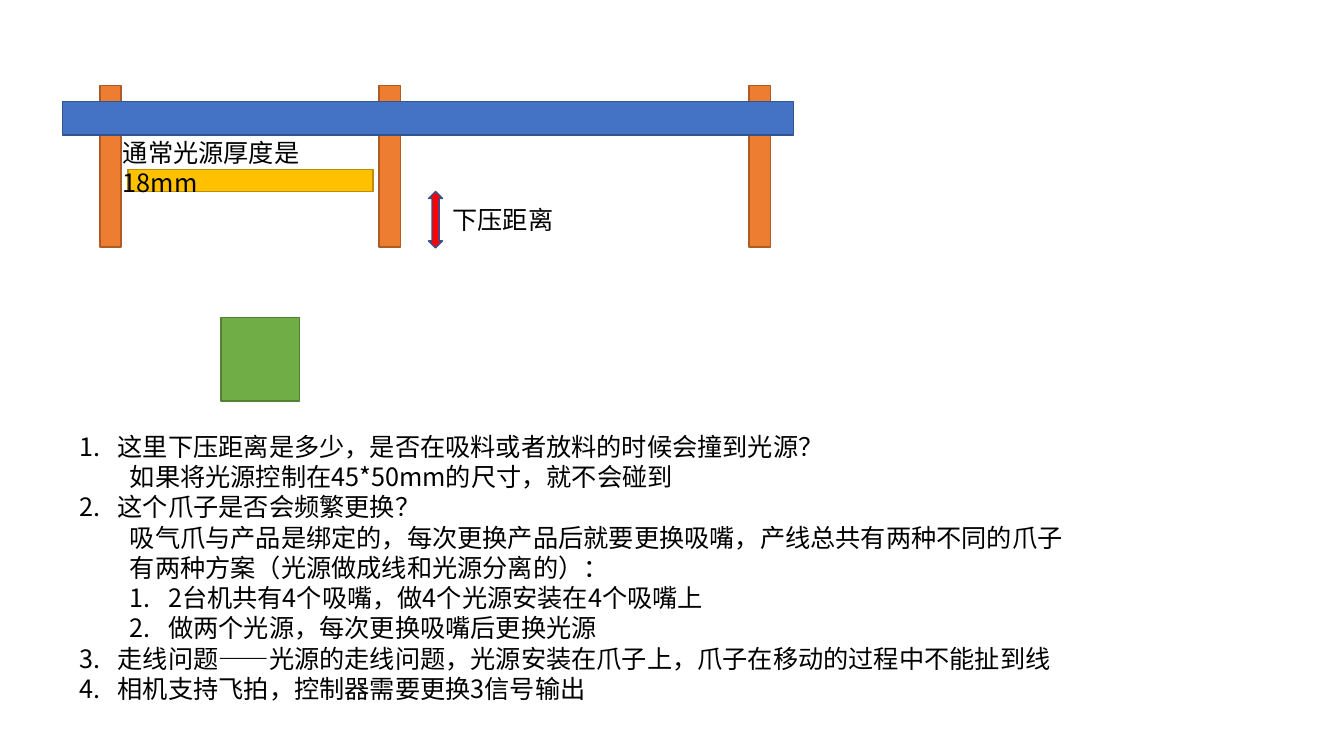
from dataclasses import dataclass

from lxml.etree import SubElement
from pptx import Presentation
from pptx.dml.color import RGBColor
from pptx.enum.shapes import MSO_SHAPE as Preset
from pptx.enum.text import MSO_AUTO_SIZE as AutoSize
from pptx.oxml.ns import qn
from pptx.util import Inches, Pt


@dataclass(frozen=True)
class Theme:
    font: str = "Noto Sans CJK SC"
    text_size: int = 18
    line_width: int = 1
    text: str = "000000"
    claw: tuple = ("ED7D31", "AF5C24")
    beam: tuple = ("4472C4", "325491")
    light: tuple = ("FFC000", "BD8E00")
    arrow: tuple = ("FF0000", "325491")
    product: tuple = ("70AD47", "538035")


class SlideBuilder:
    def __init__(self, slide, theme):
        self.slide = slide
        self.theme = theme

    def block(self, left, top, width, height, colors, preset=Preset.RECTANGLE):
        shape = self.slide.shapes.add_shape(
            preset, Inches(left), Inches(top), Inches(width), Inches(height))
        fill, line = colors
        shape.shadow.inherit = False
        shape.fill.solid()
        shape.fill.fore_color.rgb = RGBColor.from_string(fill)
        shape.line.color.rgb = RGBColor.from_string(line)
        shape.line.width = Pt(self.theme.line_width)

    def style(self, paragraph):
        for run in paragraph.runs:
            font = run.font
            font.size = Pt(self.theme.text_size)
            font.color.rgb = RGBColor.from_string(self.theme.text)
            font.name = self.theme.font
            east_asian = SubElement(font._element, qn("a:ea"))
            east_asian.set("typeface", self.theme.font)

    def text(self, left, top, width, height, content):
        box = self.slide.shapes.add_textbox(
            Inches(left), Inches(top), Inches(width), Inches(height))
        text_frame = box.text_frame
        text_frame.word_wrap = True
        text_frame.auto_size = AutoSize.SHAPE_TO_FIT_TEXT
        text_frame.text = content
        for paragraph in text_frame.paragraphs:
            self.style(paragraph)
        return text_frame

    def numbered_list(self, left, top, width, height, items):
        content = "\n".join(item for _, _, item in items)
        text_frame = self.text(left, top, width, height, content)
        hanging = 0.38
        for paragraph, (level, numbered, _) in zip(text_frame.paragraphs, items):
            paragraph.level = level
            indent = hanging if numbered else 0
            properties = paragraph._p.get_or_add_pPr()
            properties.set("marL", str(Inches(level * 0.5 + indent)))
            properties.set("indent", str(Inches(-indent)))
            if numbered:
                number_font = SubElement(properties, qn("a:buFont"))
                number_font.set("typeface", "+mj-lt")
                number = SubElement(properties, qn("a:buAutoNum"))
                number.set("type", "arabicPeriod")


QUESTIONS = [
    (0, True, "这里下压距离是多少，是否在吸料或者放料的时候会撞到光源？"),
    (1, False, "如果将光源控制在45*50mm的尺寸，就不会碰到"),
    (0, True, "这个爪子是否会频繁更换？"),
    (1, False, "吸气爪与产品是绑定的，每次更换产品后就要更换吸嘴，产线总共有两种不同的爪子"),
    (1, False, "有两种方案（光源做成线和光源分离的）："),
    (1, True, "2台机共有4个吸嘴，做4个光源安装在4个吸嘴上"),
    (1, True, "做两个光源，每次更换吸嘴后更换光源"),
    (0, True, "走线问题——光源的走线问题，光源安装在爪子上，爪子在移动的过程中不能扯到线"),
    (0, True, "相机支持飞拍，控制器需要更换3信号输出"),
]


def main():
    presentation = Presentation()
    presentation.slide_width = Inches(13.33)
    presentation.slide_height = Inches(7.5)
    slide = presentation.slides.add_slide(presentation.slide_layouts[6])
    theme = Theme()
    builder = SlideBuilder(slide, theme)

    for claw_left in (0.99, 3.76, 7.43):
        builder.block(claw_left, 0.85, 0.21, 1.6, theme.claw)
    builder.block(0.62, 1.01, 7.25, 0.33, theme.beam)
    builder.block(1.27, 1.68, 2.43, 0.22, theme.light)
    builder.text(1.12, 1.31, 2.66, 0.4, "通常光源厚度是18mm")
    builder.block(4.25, 1.9, 0.14, 0.56, theme.arrow, Preset.UP_DOWN_ARROW)
    builder.numbered_list(0.69, 4.23, 11.8, 2.83, QUESTIONS)
    builder.text(4.39, 1.98, 1.29, 0.4, "下压距离")
    builder.block(2.19, 3.15, 0.78, 0.83, theme.product)

    presentation.save("out.pptx")


if __name__ == "__main__":
    main()
